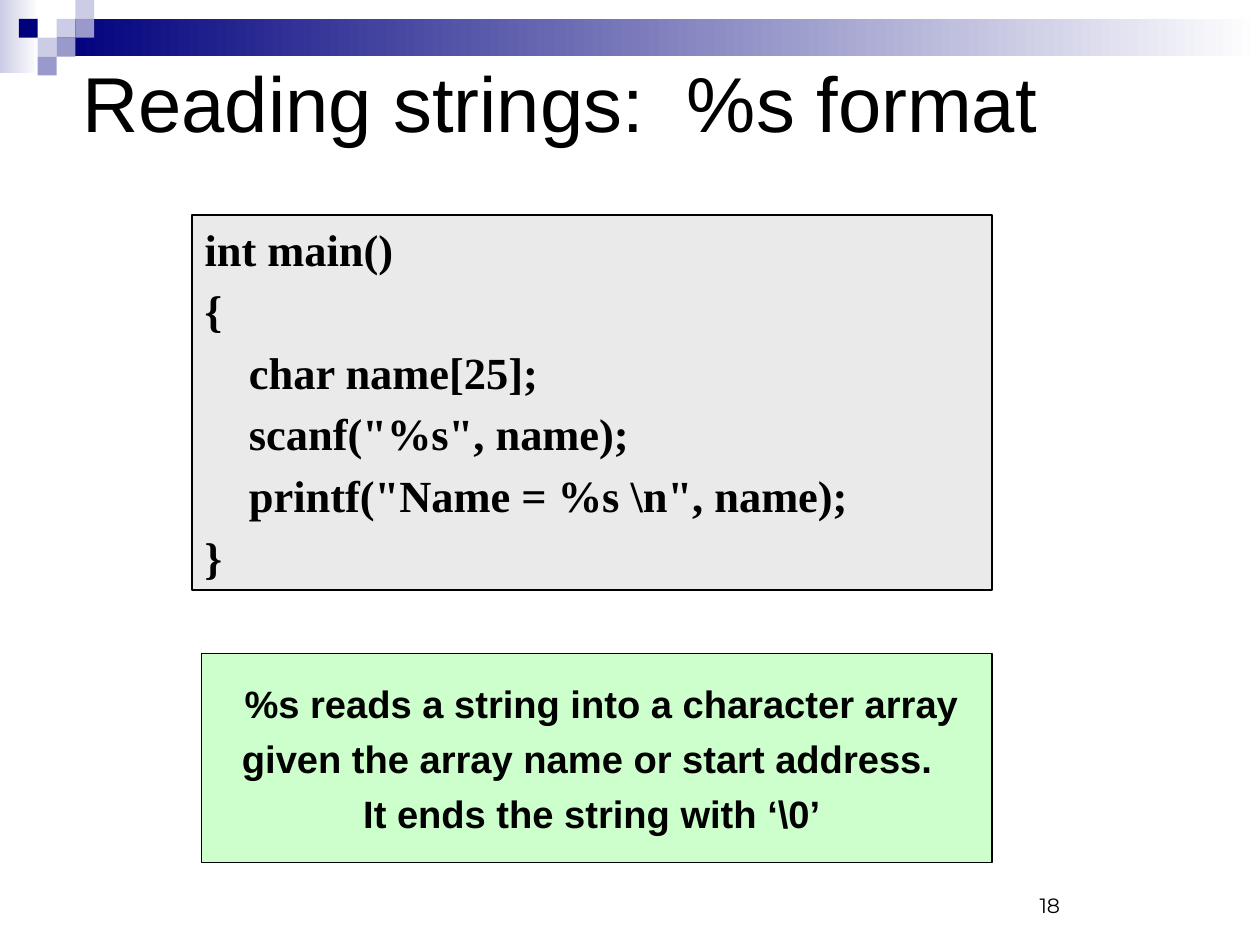
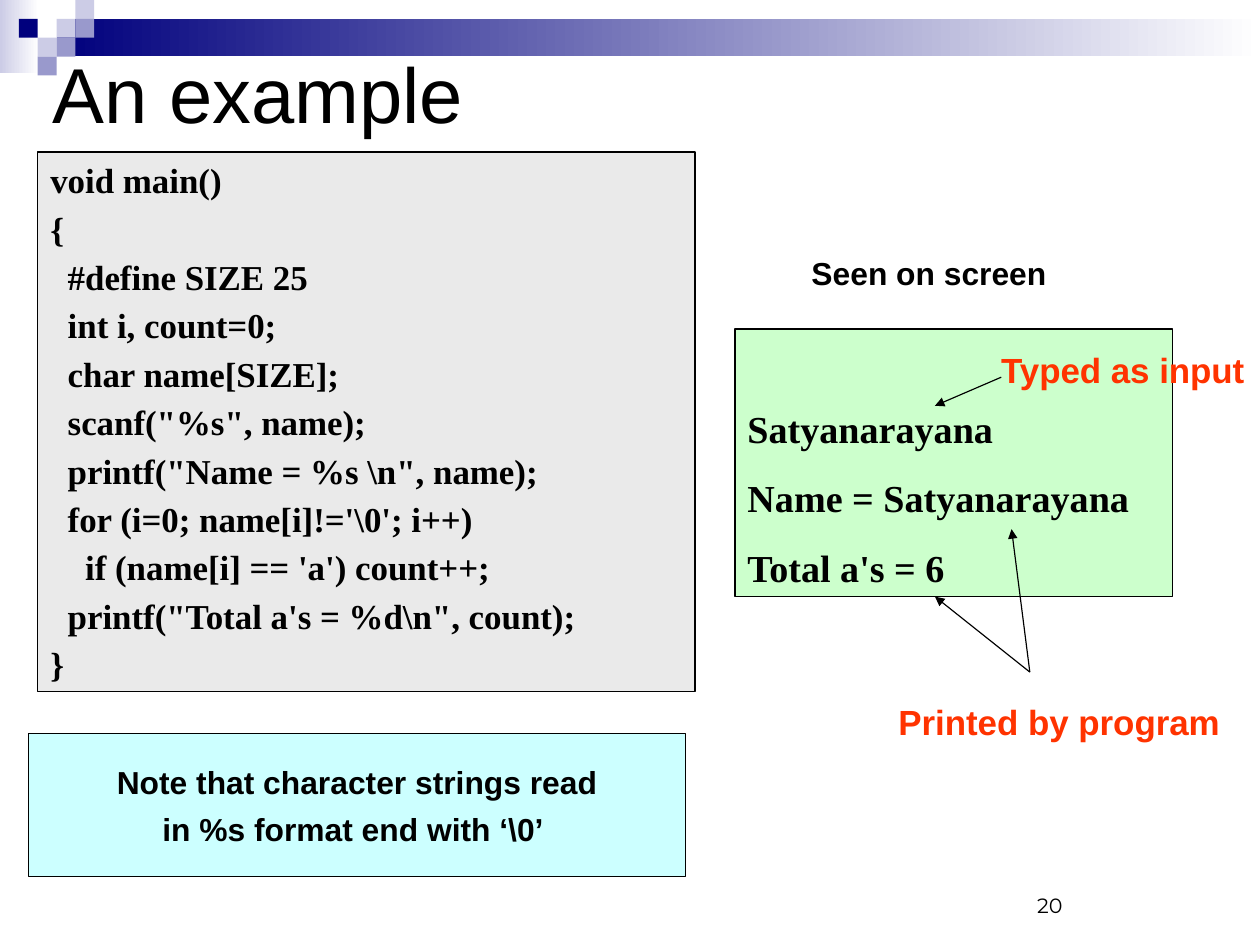
from dataclasses import dataclass

from lxml.etree import SubElement
from pptx import Presentation
from pptx.dml.color import RGBColor
from pptx.enum.shapes import MSO_CONNECTOR, MSO_SHAPE
from pptx.enum.text import MSO_ANCHOR, MSO_AUTO_SIZE, PP_ALIGN
from pptx.oxml.ns import qn
from pptx.util import Inches, Pt


@dataclass(frozen=True)
class Theme:
    black: str = "000000"
    white: str = "FFFFFF"
    navy: str = "00007D"
    violet: str = "9999CC"
    lilac: str = "CCCCE6"
    code: str = "EAEAEA"
    green: str = "CCFFCC"
    cyan: str = "CCFFFF"
    red: str = "FF3300"
    sans: str = "Arial"
    serif: str = "Times New Roman"
    number_font: str = "Montserrat"
    title_size: float = 49
    code_large: float = 28
    large: float = 24
    medium: float = 22
    small: float = 20
    number_size: float = 13


@dataclass(frozen=True)
class Box:
    left: float
    top: float
    width: float
    height: float

    def emu(self):
        return [Inches(v) for v in (self.left, self.top, self.width, self.height)]


@dataclass(frozen=True)
class Square:
    col: int
    row: int
    color: str


@dataclass(frozen=True)
class Label:
    box: Box
    text: str
    size: float
    color: str


@dataclass(frozen=True)
class Arrow:
    x1: float
    y1: float
    x2: float
    y2: float


T = Theme()
CM_PER_INCH = 2.54
SLIDE_CM = (28, 21)
INSETS = (0.11, 0.06)
UNIT = 0.66 / 4
SQUARES = [
    Square(3, 1, T.lilac),
    Square(4, 0, T.lilac),
    Square(4, 1, T.violet),
    Square(2, 2, T.lilac),
    Square(1, 1, T.navy),
    Square(3, 2, T.violet),
    Square(2, 3, T.violet),
]

READ_CODE = r"""int main()
{
    char name[25];
    scanf("%s", name);
    printf("Name = %s \n", name);
}"""
READ_NOTE = "\n".join([
    " %s reads a string into a character array",
    "given the array name or start address.  ",
    r"It ends the string with ‘\0’ ",
])
COUNT_CODE = r"""void main()
{
  #define SIZE 25
  int i, count=0;
  char name[SIZE];
  scanf("%s", name);
  printf("Name = %s \n", name);
  for (i=0; name[i]!='\0'; i++)
    if (name[i] == 'a') count++;
  printf("Total a's = %d\n", count);
}"""
COUNT_NOTE = "\n".join([
    "Note that character strings read",
    r"in %s format end with ‘\0’ ",
])
SCREEN = """Satyanarayana
Name = Satyanarayana
Total a's = 6"""

LABELS = [
    Label(Box(7.1, 2.22, 2.06, 0.33), "Seen on screen", T.small, T.black),
    Label(Box(8.76, 3.05, 2.26, 0.37), "Typed as input", T.medium, T.red),
    Label(Box(7.86, 6.13, 2.81, 0.37), "Printed by program", T.medium, T.red),
]
ARROWS = [
    Arrow(8.76, 3.3, 8.18, 3.55),
    Arrow(9.01, 5.88, 8.18, 5.22),
    Arrow(9.01, 5.88, 8.85, 4.63),
]


def rgb(color: str) -> RGBColor:
    return RGBColor.from_string(color)


def put_text(sp, text: str, *, size: float, font: str = T.sans, color: str = T.black,
             bold: bool = True, align=PP_ALIGN.LEFT, anchor=MSO_ANCHOR.TOP,
             before: float = 0, insets: tuple[float, float] = (0, 0), wrap: bool = True) -> None:
    """Write one paragraph per line; outer spaces become left and right margins."""
    tf = sp.text_frame
    tf.auto_size = MSO_AUTO_SIZE.NONE
    tf.word_wrap = wrap
    tf.vertical_anchor = anchor
    tf.margin_left = tf.margin_right = Inches(insets[0])
    tf.margin_top = tf.margin_bottom = Inches(insets[1])
    for i, line in enumerate(text.split("\n")):
        p = tf.add_paragraph() if i else tf.paragraphs[0]
        p.alignment = align
        p.space_before = Pt(before)
        for side, kept in (("marL", line.lstrip()), ("marR", line.rstrip())):
            spaces = len(line) - len(kept)
            if spaces:
                p._p.get_or_add_pPr().set(side, str(Pt(spaces * size / 4)))
        r = p.add_run()
        r.text = line.strip()
        r.font.name = font
        r.font.size = Pt(size)
        r.font.bold = bold
        r.font.color.rgb = rgb(color)


def add_rect(shapes, box: Box, fill: str, *, fade: bool = False, line: float = 0):
    """Add a rectangle, with a fade to white and an outline if asked for."""
    sp = shapes.add_shape(MSO_SHAPE.RECTANGLE, *box.emu())
    sp.shadow.inherit = False
    if fade:
        sp.fill.gradient()
        sp.fill.gradient_angle = 0
        for stop, color in zip(sp.fill.gradient_stops, (fill, T.white)):
            stop.color.rgb = rgb(color)
    else:
        sp.fill.solid()
        sp.fill.fore_color.rgb = rgb(fill)
    if line:
        sp.line.color.rgb = rgb(T.black)
        sp.line.width = Pt(line)
    else:
        sp.line.fill.background()
    return sp


def add_code(slide, box: Box, text: str, size: float, before: float) -> None:
    sp = add_rect(slide.shapes, box, T.code, line=1)
    put_text(sp, text, size=size, font=T.serif, before=before, insets=INSETS)


def add_note(slide, box: Box, text: str, fill: str, size: float, before: float) -> None:
    sp = add_rect(slide.shapes, box, fill, line=0.75)
    put_text(sp, text, size=size, align=PP_ALIGN.CENTER, anchor=MSO_ANCHOR.MIDDLE,
             before=before)


def add_label(slide, label: Label) -> None:
    sp = slide.shapes.add_textbox(*label.box.emu())
    put_text(sp, label.text, size=label.size, color=label.color, wrap=False)


def add_arrow(slide, arrow: Arrow) -> None:
    ends = [Inches(v) for v in (arrow.x1, arrow.y1, arrow.x2, arrow.y2)]
    cxn = slide.shapes.add_connector(MSO_CONNECTOR.STRAIGHT, *ends)
    cxn.line.color.rgb = rgb(T.black)
    cxn.line.width = Pt(0.75)
    SubElement(cxn.line._get_or_add_ln(), qn("a:tailEnd"), type="triangle")
    SubElement(cxn._element.spPr, qn("a:effectLst"))


def decorate_layout(layout, slide) -> None:
    """Draw the shared band on a slide and move it into the layout."""
    for ph in list(layout.placeholders):
        if ph.placeholder_format.idx:
            ph.element.getparent().remove(ph.element)
    group = slide.shapes.add_group_shape()
    add_rect(group.shapes, Box(0, 0, 0.34, 0.64), T.lilac, fade=True)
    add_rect(group.shapes, Box(0.5, UNIT, 10.53, 2 * UNIT), T.navy, fade=True)
    for s in SQUARES:
        add_rect(group.shapes, Box(s.col * UNIT, s.row * UNIT, UNIT, UNIT), s.color)
    layout.shapes.element.insert(2, group.element)


def start_slide(prs, title: str, box: Box, number: int):
    slide = prs.slides.add_slide(prs.slide_layouts[5])
    sp = slide.shapes.title
    sp.left, sp.top, sp.width, sp.height = box.emu()
    put_text(sp, title, size=T.title_size, bold=False, anchor=MSO_ANCHOR.MIDDLE,
             insets=INSETS)
    sp = slide.shapes.add_textbox(*Box(7.9, 7.53, 2.57, 0.55).emu())
    put_text(sp, str(number), size=T.number_size, font=T.number_font, bold=False,
             align=PP_ALIGN.CENTER, anchor=MSO_ANCHOR.BOTTOM, insets=(0.1, 0.05))
    return slide


def build_reading(prs):
    slide = start_slide(prs, "Reading strings:  %s format", Box(0.61, 0.47, 10.41, 0.84), 18)
    add_code(slide, Box(1.68, 1.88, 7, 3.28), READ_CODE, T.code_large, 5.2)
    add_note(slide, Box(1.76, 5.72, 6.92, 1.83), READ_NOTE, T.green, T.large, 6)
    return slide


def build_example(prs) -> None:
    slide = start_slide(prs, "An example", Box(0.35, 0.38, 10.41, 0.85), 20)
    add_code(slide, Box(0.33, 1.33, 5.75, 4.72), COUNT_CODE, T.medium, 4.1)
    screen = add_rect(slide.shapes, Box(6.43, 2.88, 3.83, 2.34), T.green, line=1)
    put_text(screen, SCREEN, size=T.large, font=T.serif, anchor=MSO_ANCHOR.BOTTOM,
             before=15, insets=INSETS)
    add_note(slide, Box(0.25, 6.42, 5.75, 1.25), COUNT_NOTE, T.cyan, T.small, 5)
    for label in LABELS:
        add_label(slide, label)
    for arrow in ARROWS:
        add_arrow(slide, arrow)


def main() -> None:
    prs = Presentation()
    prs.slide_width, prs.slide_height = [Inches(cm / CM_PER_INCH) for cm in SLIDE_CM]
    reading = build_reading(prs)
    decorate_layout(prs.slide_layouts[5], reading)
    build_example(prs)
    prs.save("out.pptx")


if __name__ == "__main__":
    main()
